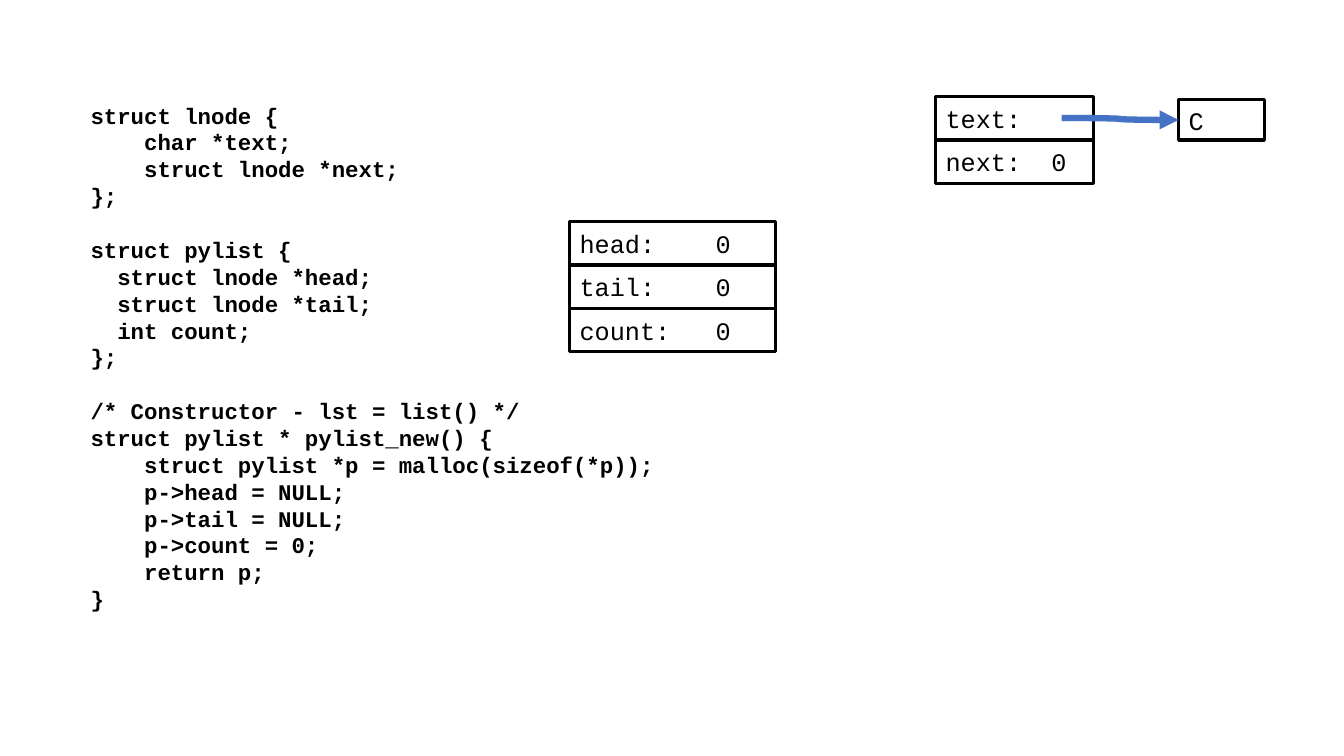
from pptx import Presentation, util as u
from pptx.dml.color import RGBColor
from pptx.enum import shapes, text
from pptx.oxml.ns import qn
from lxml import etree

BLACK = RGBColor(0x00, 0x00, 0x00)
BLUE = RGBColor(0x44, 0x72, 0xC4)
FONT = "Courier New"
CODE_PITCH = u.Pt(19.2)
ROW = 0.43
CHARACTER = 0.15  # advance of one 18 pt character

# Content: code blocks, separated by one line of space
CODE = [
    """struct lnode {
    char *text;
    struct lnode *next;
};""",
    """struct pylist {
  struct lnode *head;
  struct lnode *tail;
  int count;
};""",
    """/* Constructor - lst = list() */
struct pylist * pylist_new() {
    struct pylist *p = malloc(sizeof(*p));
    p->head = NULL;
    p->tail = NULL;
    p->count = 0;
    return p;
}""",
]

# Memory boxes: left, top, width, row height, value column, rows
RECORDS = [
    (5.65, 2.2, 2.04, ROW, 9, [("head:", "0"), ("tail:", "0"), ("count:", "0")]),
    (9.28, 0.96, 1.57, ROW, 7, [("text:",), ("next:", "0")]),
    (11.69, 0.99, 0.85, 0.4, 0, [("C",)]),
]
POINTER = (10.53, 1.17, 11.69, 1.19)


def set_font(paragraph, size, bold=False):
    font = paragraph.font
    font.name, font.size, font.bold = FONT, u.Pt(size), bold
    font.color.rgb = BLACK


def add_code(slide):
    box = slide.shapes.add_textbox(*map(u.Inches, (0.8, 0.96, 5.87, 5.22)))
    frame = box.text_frame
    frame.word_wrap = False
    frame.auto_size = text.MSO_AUTO_SIZE.SHAPE_TO_FIT_TEXT
    frame.text = "\n".join(CODE)
    block_starts = {block.split("\n")[0] for block in CODE[1:]}
    for paragraph in frame.paragraphs:
        set_font(paragraph, 16, bold=True)
        paragraph.line_spacing = CODE_PITCH
        if paragraph.text in block_starts:
            paragraph.space_before = CODE_PITCH


def add_field(slide, left, top, width, height, column, parts):
    field = slide.shapes.add_shape(
        shapes.MSO_SHAPE.RECTANGLE, *map(u.Inches, (left, top, width, height)))
    field.shadow.inherit = False
    field.fill.background()
    field.line.color.rgb = BLACK
    field.line.width = u.Pt(2.25)
    frame = field.text_frame
    frame.word_wrap = True
    frame.vertical_anchor = text.MSO_ANCHOR.MIDDLE
    frame.text = "\t".join(parts)
    paragraph = frame.paragraphs[0]
    paragraph.alignment = text.PP_ALIGN.LEFT
    if len(parts) > 1:
        # Values line up on a left tab stop
        properties = paragraph._p.get_or_add_pPr()
        stops = etree.SubElement(properties, qn("a:tabLst"))
        position = u.Inches(column * CHARACTER)
        etree.SubElement(stops, qn("a:tab"), pos=str(int(position)), algn="l")
    set_font(paragraph, 18)


def add_pointer(slide):
    pointer = slide.shapes.add_connector(
        shapes.MSO_CONNECTOR.CURVE, *map(u.Inches, POINTER))
    pointer.line.color.rgb = BLUE
    pointer.line.width = u.Pt(4.5)
    etree.SubElement(pointer.line._get_or_add_ln(), qn("a:tailEnd"), type="triangle")
    etree.SubElement(pointer._element.spPr, qn("a:effectLst"))


def main():
    presentation = Presentation()
    presentation.slide_width = u.Inches(13.33)
    presentation.slide_height = u.Inches(7.5)
    slide = presentation.slides.add_slide(presentation.slide_layouts[6])
    add_code(slide)
    for left, top, width, height, column, rows in RECORDS:
        for index, parts in enumerate(rows):
            add_field(slide, left, top + index * height, width, height, column, parts)
    add_pointer(slide)
    presentation.save("out.pptx")


if __name__ == "__main__":
    main()
